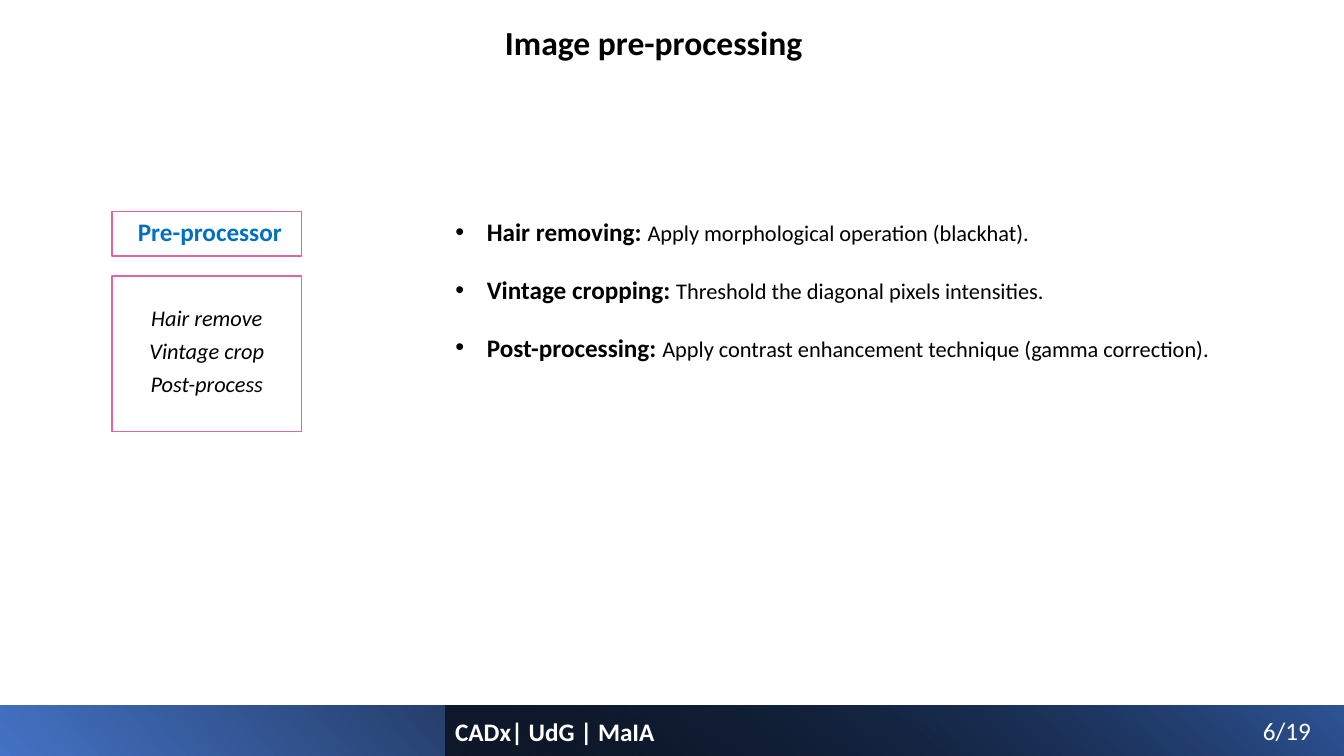
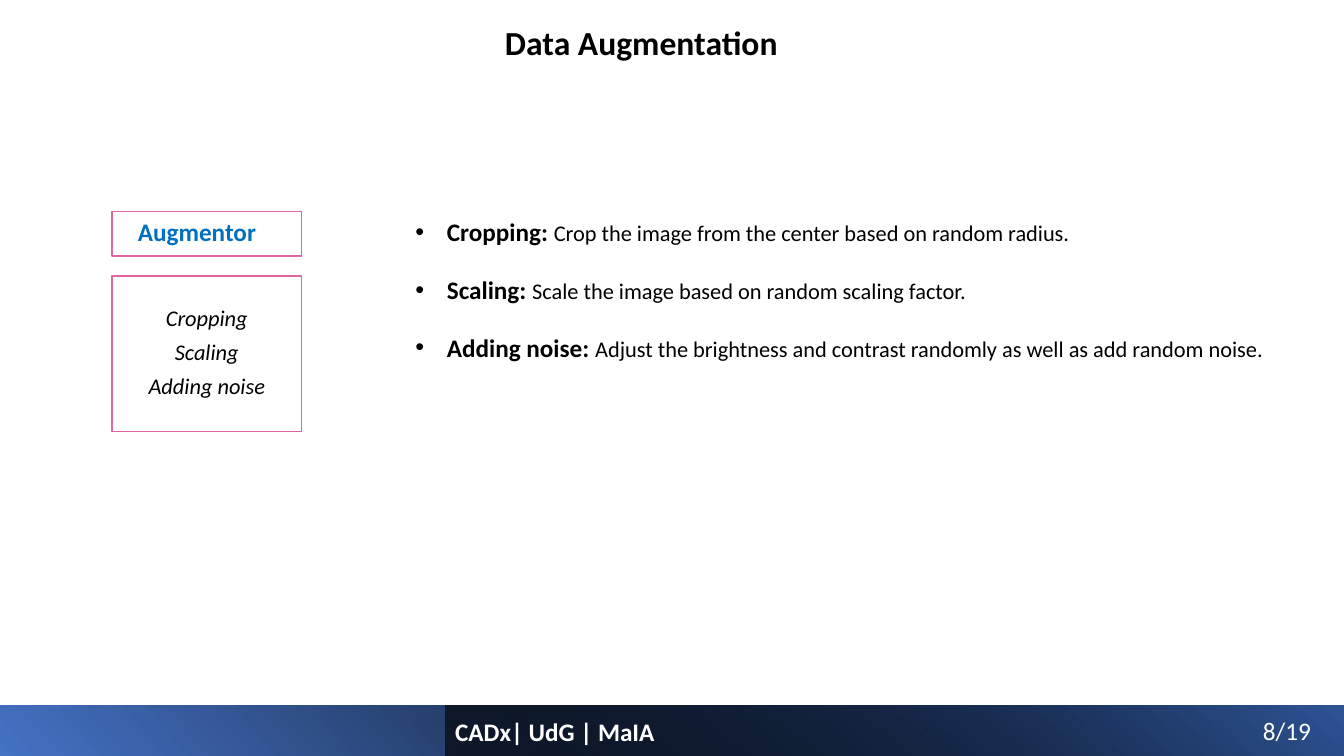
"""Build the two slides on image pre-processing and data augmentation."""
from lxml.etree import SubElement
from pptx import Presentation
from pptx.dml.color import RGBColor
from pptx.enum.shapes import MSO_SHAPE
from pptx.enum.text import MSO_ANCHOR, MSO_AUTO_SIZE, PP_ALIGN
from pptx.oxml.ns import qn
from pptx.util import Pt

COLORS = {
    "text": "000000",
    "heading": "0070C0",
    "outline": "E066A0",
    "light": "FFFFFF",
    "band_start": "4472C4",
    "band_end": "2F5597",
    "shade": "000000",
}
FONT = "Calibri"
WIDTH, HEIGHT = 960, 540
BAND_TOP = 504
SPLIT_LEFT = 318
BOX_LEFT, BOX_WIDTH = 80, 135.5
CONTENT_TOP = 151.2
INDENT = 22.5


class SlideBuilder:
    def __init__(self):
        self.deck = Presentation()
        self.deck.slide_width = Pt(WIDTH)
        self.deck.slide_height = Pt(HEIGHT)
        self.page = None

    def add_page(self, title, number):
        self.page = self.deck.slides.add_slide(self.deck.slide_layouts[1])
        self.add_band(0, [("band_start", 0, 100), ("shade", 0.78, 100)], 320, 180)
        self.add_band(SPLIT_LEFT, [("shade", 0, 63), ("band_end", 1, 100)], 130)
        self.add_title(title)
        self.add_label("CADx| UdG | MaIA", SPLIT_LEFT, 508.3, 200, bold=True)
        self.add_label(number, 895, 507.6, 60)

    def place(self, shape, left, top, width, height):
        shape.left, shape.top = Pt(left), Pt(top)
        shape.width, shape.height = Pt(width), Pt(height)

    def prepare_frame(self, shape, left=7.2, top=3.6):
        frame = shape.text_frame
        frame.word_wrap = True
        frame.auto_size = MSO_AUTO_SIZE.NONE
        frame.vertical_anchor = MSO_ANCHOR.TOP
        frame.margin_left, frame.margin_right = Pt(left), Pt(0)
        frame.margin_top, frame.margin_bottom = Pt(top), Pt(0)
        return frame

    def add_paragraph(self, frame, index=0, gap=0, align=PP_ALIGN.LEFT):
        para = frame.add_paragraph() if index else frame.paragraphs[0]
        para.alignment = align
        para.space_before = Pt(gap if index else 0)
        return para

    def add_span(self, para, text, size, color="text", bold=False, italic=False):
        span = para.add_run()
        span.text = text
        font = span.font
        font.name, font.size = FONT, Pt(size)
        font.bold, font.italic = bold, italic
        font.color.rgb = RGBColor.from_string(COLORS[color])

    def add_rectangle(self, left, top, width, height):
        box = self.page.shapes.add_shape(
            MSO_SHAPE.RECTANGLE, Pt(left), Pt(top), Pt(width), Pt(height))
        box.shadow.inherit = False
        return box

    def add_band(self, left, stops, angle, rotation=0):
        band = self.add_rectangle(left, BAND_TOP, WIDTH - left, HEIGHT - BAND_TOP)
        band.rotation = rotation
        band._element.spPr.find(qn("a:xfrm")).set("flipH", "1")
        band.line.fill.background()
        band.fill.gradient()
        band.fill.gradient_angle = angle
        for stop, (color, position, _) in zip(band.fill.gradient_stops, stops):
            stop.color.rgb = RGBColor.from_string(COLORS[color])
            stop.position = position
        color_nodes = band._element.spPr.iter(qn("a:srgbClr"))
        for node, (_, _, opacity) in zip(list(color_nodes), stops):
            if opacity < 100:
                SubElement(node, qn("a:alpha")).set("val", str(opacity * 1000))

    def add_title(self, text):
        title = self.page.shapes.title
        self.place(title, 353.5, 12.2, 300, 36)
        para = self.add_paragraph(self.prepare_frame(title))
        self.add_span(para, text, 24, bold=True)

    def add_label(self, text, left, top, width, bold=False):
        box = self.page.shapes.add_textbox(Pt(left), Pt(top), Pt(width), Pt(29))
        para = self.add_paragraph(self.prepare_frame(box))
        self.add_span(para, text, 18, "light", bold)

    def add_outlined_box(self, top, height, inset_left, inset_top):
        box = self.add_rectangle(BOX_LEFT, top, BOX_WIDTH, height)
        box.fill.background()
        box.line.color.rgb = RGBColor.from_string(COLORS["outline"])
        box.line.width = Pt(1)
        return self.prepare_frame(box, inset_left, inset_top)

    def add_module(self, heading, steps, gap):
        frame = self.add_outlined_box(CONTENT_TOP, 31.7, 18.5, 3.6)
        self.add_span(self.add_paragraph(frame), heading, 18, "heading", bold=True)
        frame = self.add_outlined_box(197.3, 111, 0, 20.2)
        for index, step in enumerate(steps):
            para = self.add_paragraph(frame, index, gap, PP_ALIGN.CENTER)
            self.add_span(para, step, 16, italic=True)

    def add_bullets(self, left, items):
        body = self.page.placeholders[1]
        self.place(body, left, CONTENT_TOP, 650, 112)
        frame = self.prepare_frame(body)
        for index, (term, meaning) in enumerate(items):
            para = self.add_paragraph(frame, index, 19.5)
            properties = para._p.get_or_add_pPr()
            properties.set("marL", str(Pt(INDENT)))
            properties.set("indent", str(-Pt(INDENT)))
            self.add_span(para, term + ": ", 18, bold=True)
            self.add_span(para, meaning, 16)


def main():
    builder = SlideBuilder()

    builder.add_page("Image pre-processing", "6/19")
    builder.add_module(
        "Pre-processor", ["Hair remove", "Vintage crop", "Post-process"], 4.4)
    builder.add_bullets(SPLIT_LEFT, [
        ("Hair removing", "Apply morphological operation (blackhat)."),
        ("Vintage cropping", "Threshold the diagonal pixels intensities."),
        ("Post-processing",
         "Apply contrast enhancement technique (gamma correction)."),
    ])

    builder.add_page("Data Augmentation", "8/19")
    builder.add_module("Augmentor", ["Cropping", "Scaling", "Adding noise"], 5.1)
    builder.add_bullets(289.5, [
        ("Cropping", "Crop the image from the center based on random radius."),
        ("Scaling", "Scale the image based on random scaling factor."),
        ("Adding noise", "Adjust the brightness and contrast randomly "
                         "as well as add random noise."),
    ])

    builder.deck.save("out.pptx")


if __name__ == "__main__":
    main()
